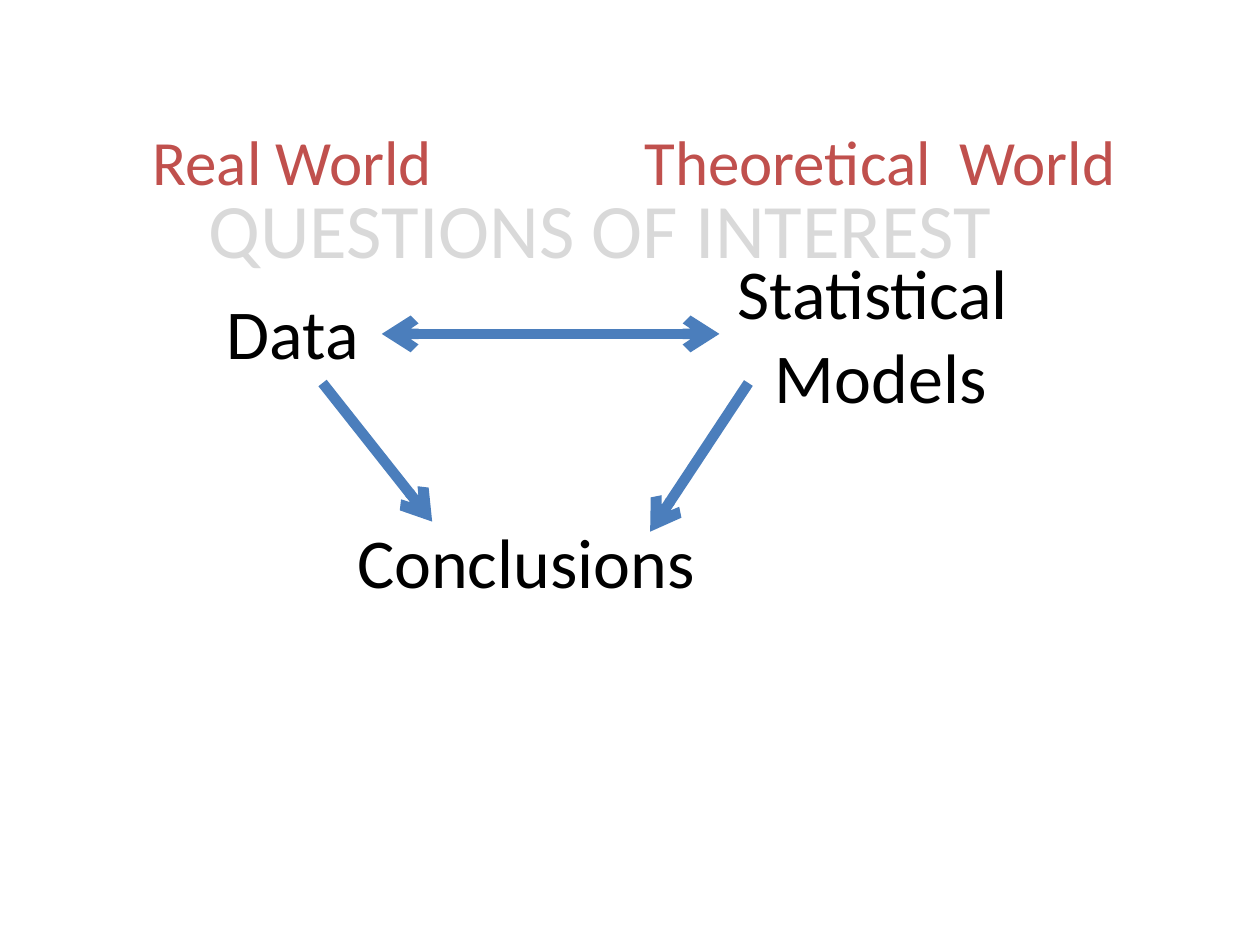
import pptx
import pptx.dml.color
import pptx.enum.shapes
import pptx.enum.text
import pptx.oxml.ns
import pptx.util
from lxml import etree

WIDTH = pptx.util.Inches(10)
HEIGHT = pptx.util.Inches(7.5)
COLUMNS, ROWS = 100, 75
FONT = "Calibri"
GREY = pptx.dml.color.RGBColor(0xD9, 0xD9, 0xD9)
RED = pptx.dml.color.RGBColor(0xC0, 0x50, 0x4D)
BLACK = pptx.dml.color.RGBColor(0, 0, 0)
BLUE = pptx.dml.color.RGBColor(0x4B, 0x7E, 0xBC)


def across(columns):
    """Turn grid columns into a length."""
    return int(WIDTH * columns / COLUMNS)


def down(rows):
    """Turn grid rows into a length."""
    return int(HEIGHT * rows / ROWS)


def add_label(slide, text, place, size, color):
    """Add centred text at (column, row, columns, rows)."""
    left, top, width, height = place
    box = slide.shapes.add_textbox(across(left), down(top), across(width), down(height))
    frame = box.text_frame
    frame.word_wrap = True
    frame.auto_size = pptx.enum.text.MSO_AUTO_SIZE.SHAPE_TO_FIT_TEXT
    frame.vertical_anchor = pptx.enum.text.MSO_ANCHOR.MIDDLE
    frame.text = text
    for para in frame.paragraphs:
        para.alignment = pptx.enum.text.PP_ALIGN.CENTER
        for span in para.runs:
            span.font.name = FONT
            span.font.size = pptx.util.Pt(size)
            span.font.color.rgb = color


def add_arrow(slide, start, end, both_ways=False):
    """Add a thick arrow between two grid points."""
    arrow = slide.shapes.add_connector(
        pptx.enum.shapes.MSO_CONNECTOR.STRAIGHT,
        across(start[0]), down(start[1]), across(end[0]), down(end[1]))
    arrow.line.color.rgb = BLUE
    arrow.line.width = pptx.util.Pt(6)
    line = arrow.line._get_or_add_ln()
    for tag in ("a:headEnd", "a:tailEnd") if both_ways else ("a:tailEnd",):
        etree.SubElement(line, pptx.oxml.ns.qn(tag), type="arrow")
    etree.SubElement(arrow._element.spPr, pptx.oxml.ns.qn("a:effectLst"))


def main():
    """Build the diagram and save it."""
    deck = pptx.Presentation()
    deck.slide_width, deck.slide_height = WIDTH, HEIGHT
    slide = deck.slides.add_slide(deck.slide_layouts[6])

    add_label(slide, "QUESTIONS OF INTEREST", (7.5, 13.9, 80.3, 8.4), 44, GREY)
    add_label(slide, "Statistical \nModels", (45.3, 19.2, 49.2, 14.5), 40, BLACK)
    add_label(slide, "Real World", (4.3, 9.2, 37.8, 7.1), 36, RED)
    add_label(slide, "Data", (9.1, 22.5, 28.3, 7.7), 40, BLACK)
    add_label(slide, "Theoretical  World", (48.2, 9.2, 43.3, 7.1), 36, RED)
    add_label(slide, "Conclusions", (25.6, 40.6, 32.3, 7.7), 40, BLACK)

    add_arrow(slide, (30.3, 26.5), (57.1, 26.5), both_ways=True)
    add_arrow(slide, (25.6, 30.4), (34.3, 41.4))
    add_arrow(slide, (59.4, 30.4), (51.6, 42.2))

    deck.save("out.pptx")


main()
